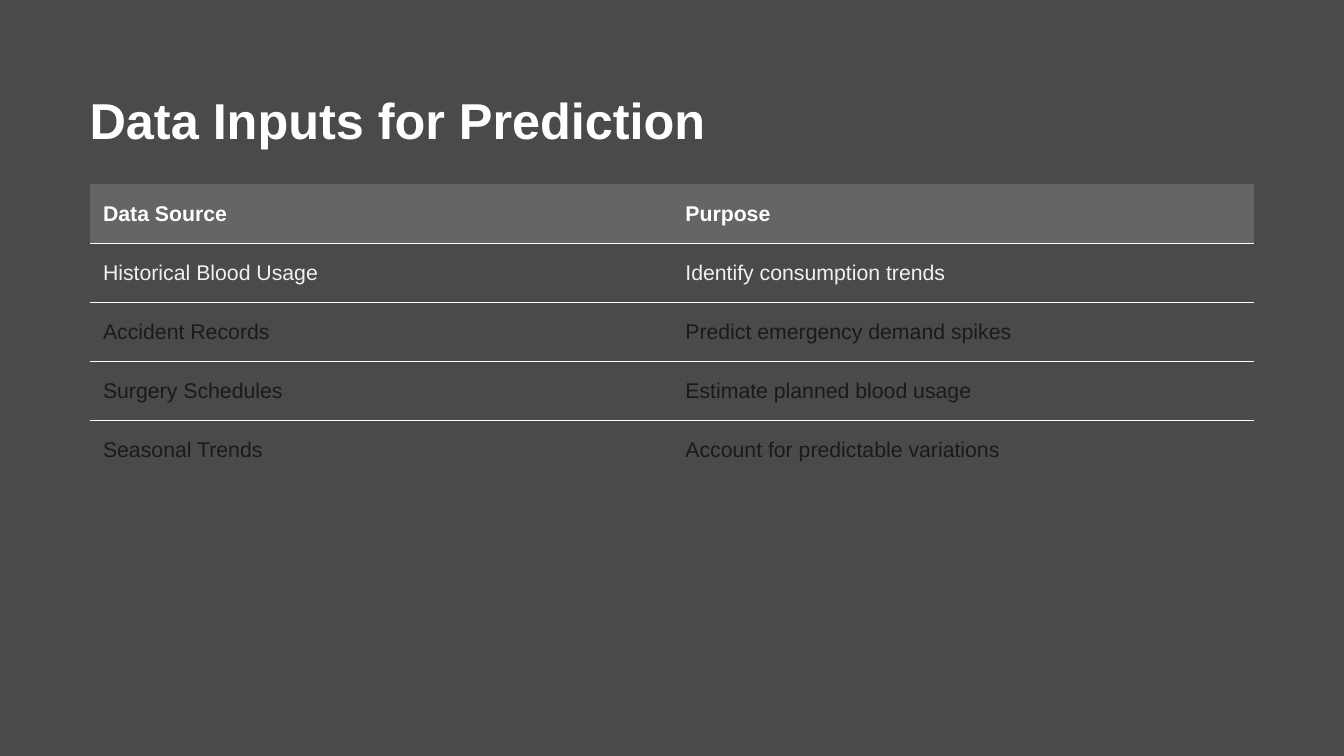
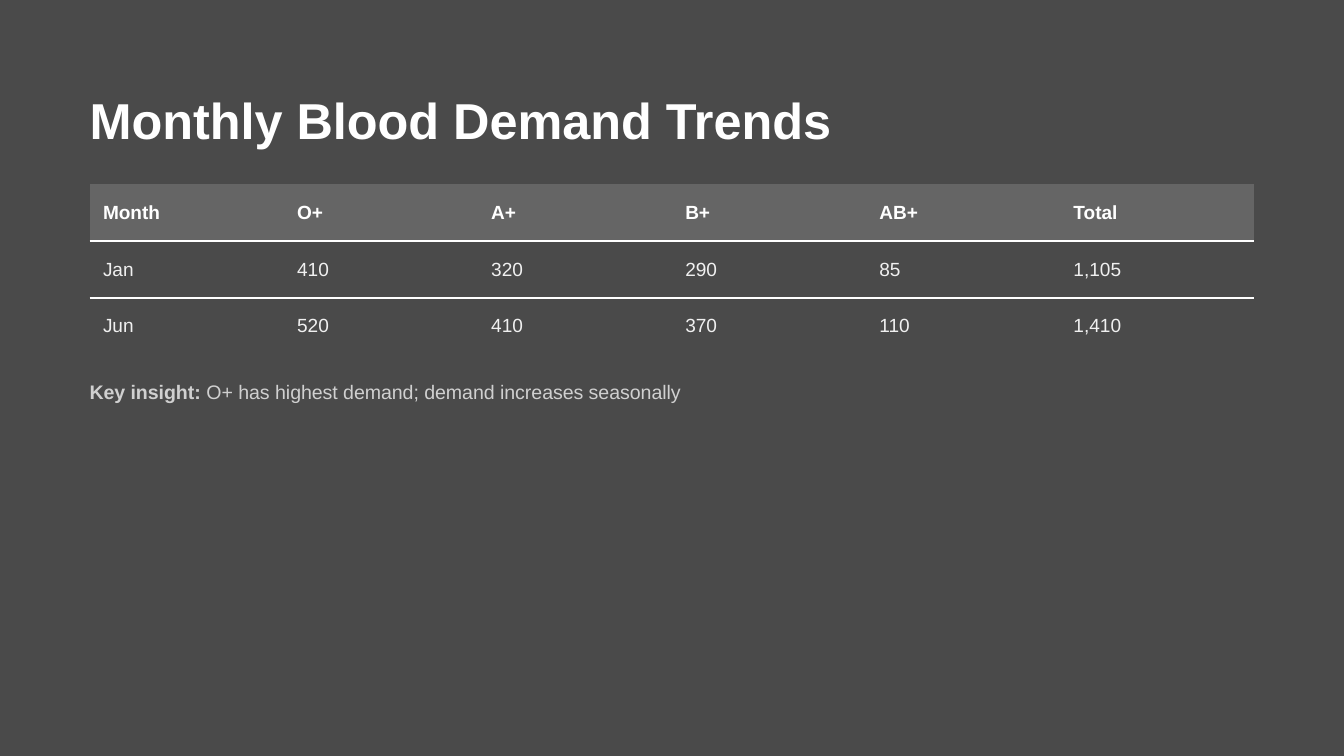
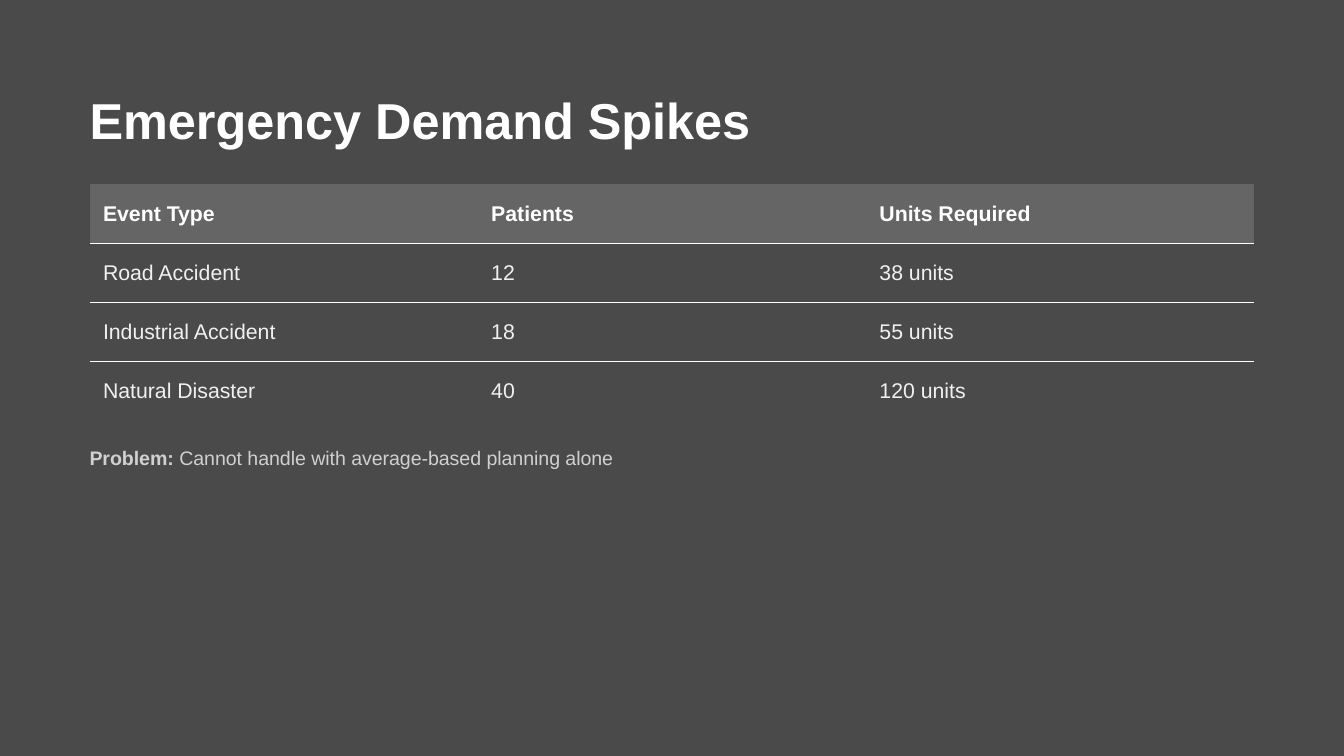
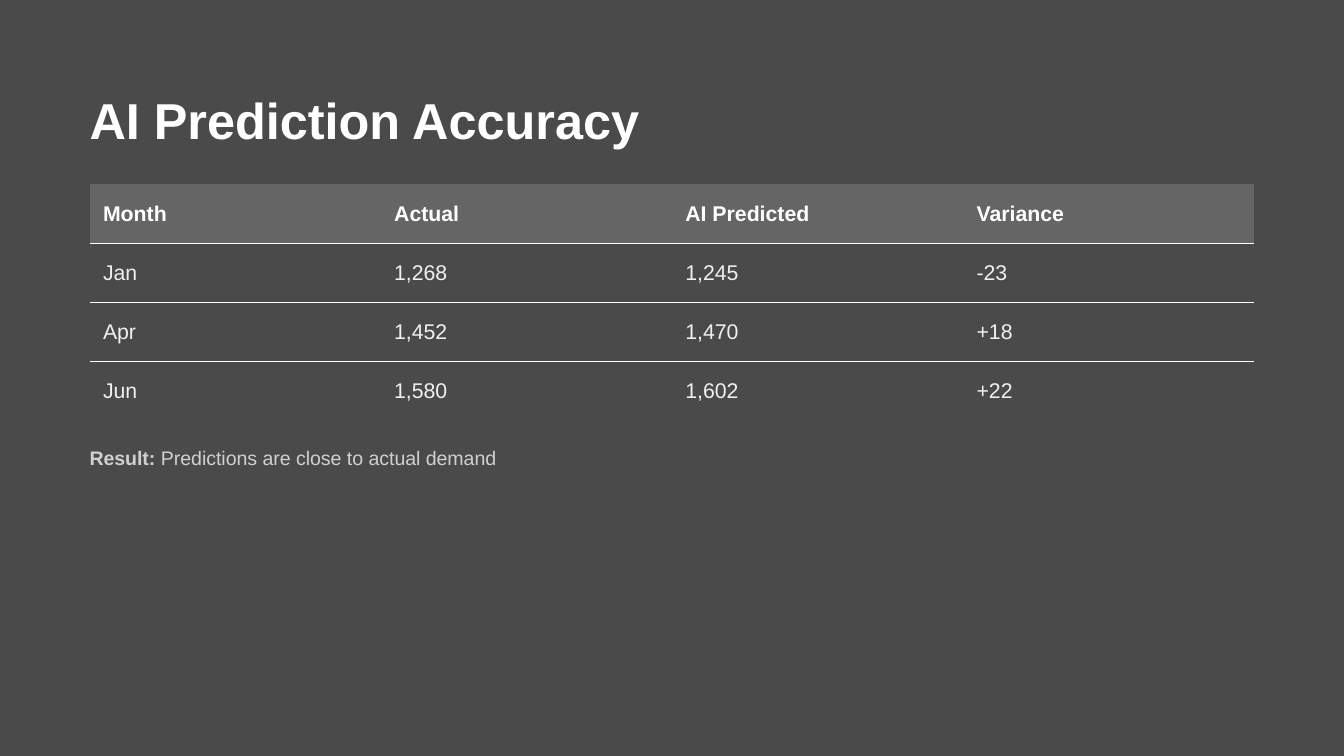
from lxml.etree import fromstring
from pptx import Presentation
from pptx.dml.color import RGBColor
from pptx.enum.text import MSO_ANCHOR as Anchor, MSO_AUTO_SIZE as AutoSize, PP_ALIGN as Align
from pptx.oxml.ns import nsdecls, qn
from pptx.util import Inches, Pt

CHARCOAL = RGBColor(0x4A, 0x4A, 0x4A)
HEADER_GREY = RGBColor(0x65, 0x65, 0x65)
WHITE = RGBColor(0xFF, 0xFF, 0xFF)
BODY_WHITE = RGBColor(0xF0, 0xF0, 0xF0)
BODY_DARK = RGBColor(0x1A, 0x1A, 0x1A)
NOTE_GREY = RGBColor(0xD0, 0xD0, 0xD0)

PLAIN_TABLE_STYLE = "{2D5ABB26-0587-4C30-8999-92F81FD0307C}"
FRAME_FORMAT = {
    "margin_left": 0, "margin_top": 0, "margin_right": 0, "margin_bottom": 0,
    "word_wrap": True, "auto_size": AutoSize.NONE, "vertical_anchor": Anchor.TOP,
}

PAGES = [
    {
        "title": "Data Inputs for Prediction",
        "rows": [
            ["Data Source", "Purpose"],
            ["Historical Blood Usage", "Identify consumption trends"],
            ["Accident Records", "Predict emergency demand spikes"],
            ["Surgery Schedules", "Estimate planned blood usage"],
            ["Seasonal Trends", "Account for predictable variations"],
        ],
        "row_share": 7.82, "size": 11.4, "later_rows": BODY_DARK, "note": None,
    },
    {
        "title": "Monthly Blood Demand Trends",
        "rows": [
            ["Month", "O+", "A+", "B+", "AB+", "Total"],
            ["Jan", "410", "320", "290", "85", "1,105"],
            ["Jun", "520", "410", "370", "110", "1,410"],
        ],
        "row_share": 7.53, "size": 10.2, "later_rows": BODY_WHITE,
        "note": ["Key insight:", " O+ has highest demand; demand increases seasonally"],
    },
    {
        "title": "Emergency Demand Spikes",
        "rows": [
            ["Event Type", "Patients", "Units Required"],
            ["Road Accident", "12", "38 units"],
            ["Industrial Accident", "18", "55 units"],
            ["Natural Disaster", "40", "120 units"],
        ],
        "row_share": 7.82, "size": 11.4, "later_rows": BODY_WHITE,
        "note": ["Problem:", " Cannot handle with average-based planning alone"],
    },
    {
        "title": "AI Prediction Accuracy",
        "rows": [
            ["Month", "Actual", "AI Predicted", "Variance"],
            ["Jan", "1,268", "1,245", "-23"],
            ["Apr", "1,452", "1,470", "+18"],
            ["Jun", "1,580", "1,602", "+22"],
        ],
        "row_share": 7.82, "size": 11.4, "later_rows": BODY_WHITE,
        "note": ["Result:", " Predictions are close to actual demand"],
    },
]


def write_line(box, texts, size, spacing, color):
    for name, value in FRAME_FORMAT.items():
        setattr(box.text_frame, name, value)
    para = box.text_frame.paragraphs[0]
    para.alignment = Align.LEFT
    para.line_spacing = Pt(spacing)
    for position, text in enumerate(texts):
        add_span(para, text, size, position == 0, color)


def add_span(para, text, size, bold, color):
    span = para.add_run()
    span.text = text
    for name, value in {"name": "Arial", "size": Pt(size), "bold": bold}.items():
        setattr(span.font, name, value)
    span.font.color.rgb = color


deck = Presentation()
deck.slide_width = Inches(10)
deck.slide_height = deck.slide_width * 9 // 16
background = deck.slide_master.background.fill
background.solid()
background.fore_color.rgb = CHARCOAL

column = deck.slide_width // 15
percent = deck.slide_height / 100
table_width = 13 * column
line_width = int(deck.slide_width * 0.884)
table_top = int(24.36 * percent)
note_gap = int(2.84 * percent)

for content in PAGES:
    page = deck.slides.add_slide(deck.slide_layouts[5])
    title = page.shapes.title
    title.left, title.top = column, column
    title.width, title.height = line_width, int(8 * percent)
    write_line(title, [content["title"]], 27, 32.4, WHITE)

    rows = content["rows"]
    row_height = int(content["row_share"] * percent)
    table_height = row_height * len(rows)
    table = page.shapes.add_table(
        len(rows), len(rows[0]), column, table_top, table_width, table_height
    ).table
    table.horz_banding = False
    table._tbl.tblPr.find(qn("a:tableStyleId")).text = PLAIN_TABLE_STYLE

    for row_index, row in enumerate(rows):
        is_header = row_index == 0
        color = [WHITE, BODY_WHITE, content["later_rows"]][min(row_index, 2)]
        edges = []
        if row_index > 0:
            edges.append("lnT")
        if row_index < len(rows) - 1:
            edges.append("lnB")
        for column_index, text in enumerate(row):
            cell = table.cell(row_index, column_index)
            cell.vertical_anchor = Anchor.MIDDLE
            add_span(cell.text_frame.paragraphs[0], text, content["size"], is_header, color)
            if is_header:
                cell.fill.solid()
                cell.fill.fore_color.rgb = HEADER_GREY
            else:
                cell.fill.background()
            for position, edge in enumerate(edges):
                cell._tc.tcPr.insert(position, fromstring(
                    f'<a:{edge} {nsdecls("a")} w="{Pt(0.8)}"><a:solidFill>'
                    f'<a:srgbClr val="{WHITE}"/></a:solidFill></a:{edge}>'
                ))

    if content["note"]:
        note_top = table_top + table_height + note_gap
        note = page.shapes.add_textbox(column, note_top, line_width, int(3.6 * percent))
        write_line(note, content["note"], 10.5, 14.7, NOTE_GREY)

deck.save("out.pptx")
